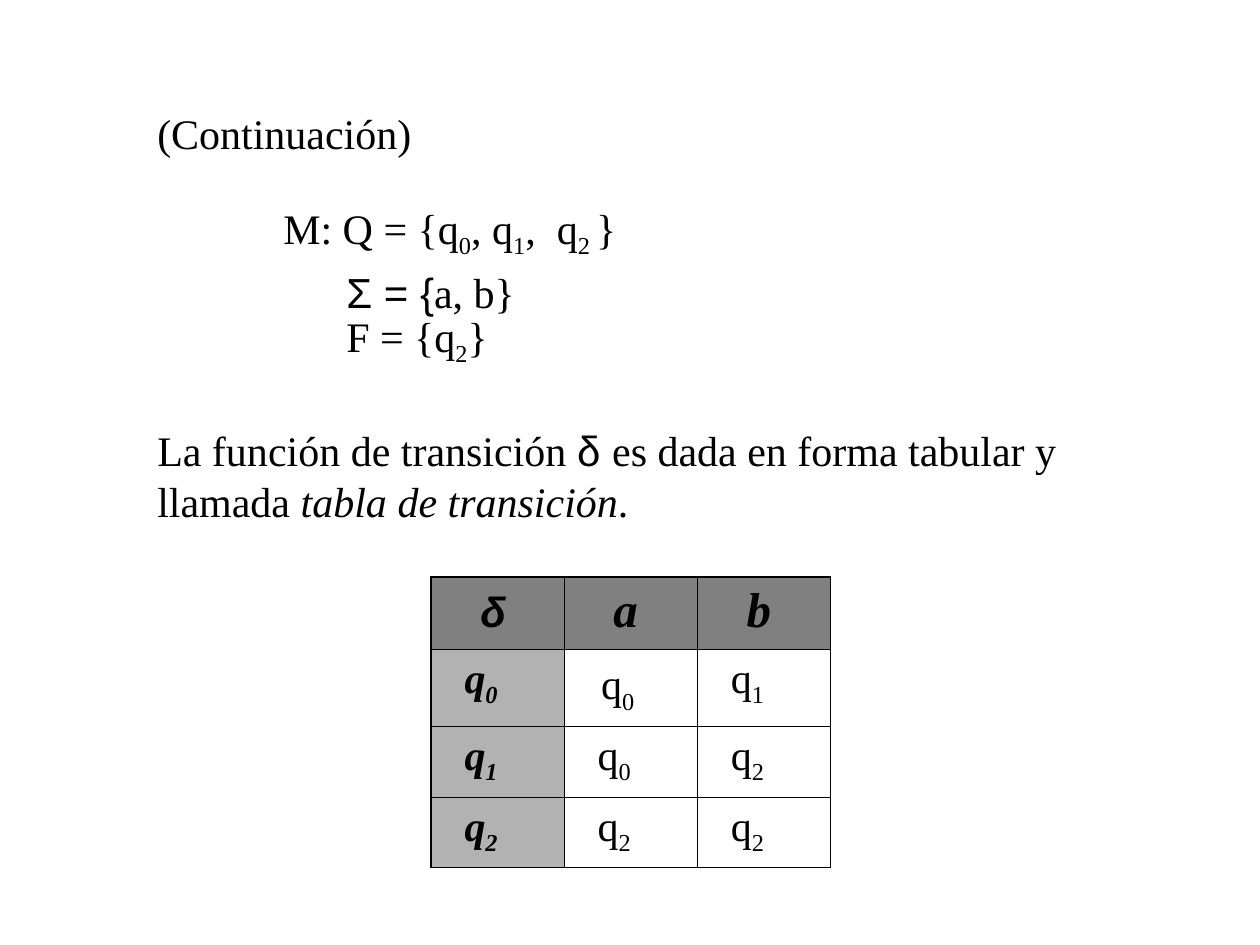
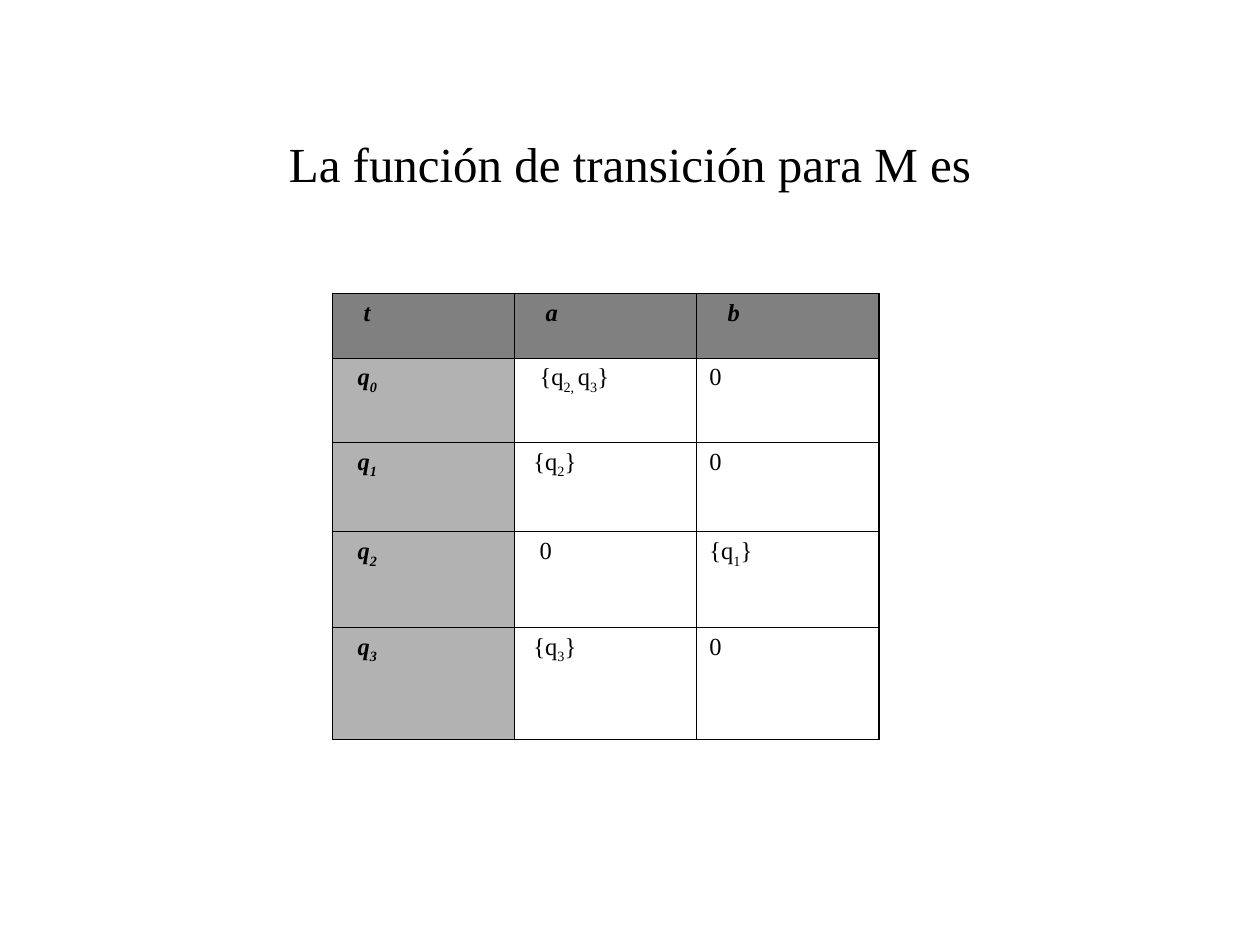
from pptx import Presentation
from pptx.dml.color import RGBColor
from pptx.enum import text
from pptx.oxml import ns, xmlchemy
from pptx.util import Inches, Pt

BLACK = RGBColor(0x00, 0x00, 0x00)
WHITE = RGBColor(0xFF, 0xFF, 0xFF)
HEADER_GRAY = RGBColor(0x80, 0x80, 0x80)
STATE_GRAY = RGBColor(0xB2, 0xB2, 0xB2)
SERIF, SANS = "Times New Roman", "Arial"
WIDTH, HEIGHT = Inches(10), Inches(7.5)
OUTER, INNER = Pt(1.08), Pt(0.45)


def across(percent):
    return int(WIDTH * percent / 100)


def down(percent):
    return int(HEIGHT * percent / 100)


def write(para, marked, size, bold=False, italic=False, indent=0):
    para._p.get_or_add_pPr().set("marL", str(Pt(indent)))
    para._p.get_or_add_pPr().set("indent", "0")
    font = para.font
    font.name, font.size, font.color.rgb = SERIF, Pt(size), BLACK
    font.bold, font.italic = bold, italic
    for part in marked.split("|"):
        mark = part[0] if part[0] in "_/@~" else ""
        span = para.add_run()
        span.text = part[len(mark):]
        if mark == "_":
            span.font._element.set("baseline", "-25000")
        elif mark == "/":
            span.font.italic = True
        elif mark == "@":
            span.font.name = SANS
        elif mark == "~":
            span.font._element.set("spc", "300")


def add_box(page, left, top, width, height):
    box = page.shapes.add_textbox(across(left), down(top), across(width), down(height))
    box.text_frame.word_wrap = True
    return box.text_frame


def add_border(cell, side, width):
    line = xmlchemy.OxmlElement(f"a:ln{side}")
    line.set("w", str(width))
    fill = xmlchemy.OxmlElement("a:solidFill")
    color = xmlchemy.OxmlElement("a:srgbClr")
    color.set("val", str(BLACK))
    fill.append(color)
    line.append(fill)
    cell._tc.get_or_add_tcPr().append(line)


def add_transition_table(page, left, top, column, heights, rows, sizes, indents):
    frame = page.shapes.add_table(
        len(rows), len(rows[0]), across(left), down(top),
        across(column * len(rows[0])), down(sum(heights)))
    table = frame.table
    table.first_row = table.horz_banding = False
    for item in table.columns:
        item.width = across(column)
    for r, row in enumerate(rows):
        table.rows[r].height = down(heights[r])
        for c, marked in enumerate(row):
            cell = table.cell(r, c)
            edges = {"L": c == 0, "R": c == len(row) - 1,
                     "T": r == 0, "B": r == len(rows) - 1}
            for side, outside in edges.items():
                add_border(cell, side, OUTER if outside else INNER)
            cell.fill.solid()
            cell.fill.fore_color.rgb = (
                HEADER_GRAY if r == 0 else STATE_GRAY if c == 0 else WHITE)
            heading = r == 0 or c == 0
            write(cell.text_frame.paragraphs[0], marked, sizes[min(r, 1)],
                  heading, heading, indents[r][c])
    return table


def build_definition(page):
    frame = add_box(page, 11.5, 10.67, 84.3, 50.8)
    lines = [
        ("(Continuación)", 0, 0),
        ("M: Q = {q|_0|, q|_1|~, |q|_2 |}", 72, 29),
        ("@Σ = {|a, b}", 108, 3.5),
        ("F = {q|_2|}", 108, 0),
        ("La función de transición |@δ |es dada en forma tabular y llamada "
         "|/tabla de transición|.", 0, 32),
    ]
    for index, (marked, indent, gap) in enumerate(lines):
        para = frame.add_paragraph() if index else frame.paragraphs[0]
        para.line_spacing = Pt(29.1)
        para.space_before = Pt(gap)
        write(para, marked, 24, indent=indent)

    rows = [("@δ", "a", "b"),
            ("q|_0", "q|_0", "q|_1"),
            ("q|_1", "q|_0", "q|_2"),
            ("q|_2", "q|_2", "q|_2")]
    indents = [(21, 21, 21), (12, 14, 12), (12, 12, 12), (12, 12, 12)]
    table = add_transition_table(page, 34.2, 61.07, 10.57, [7.67, 8.13, 7.52, 7.36],
                                 rows, (28, 24), indents)
    table.cell(0, 0).text_frame.paragraphs[0].runs[0].font.size = Pt(24)
    for lowered in (table.cell(0, 0), table.cell(1, 1)):
        lowered.margin_top = Inches(0.1)


def build_function(page):
    frame = add_box(page, 7.5, 8.93, 85, 16.67)
    frame.vertical_anchor = text.MSO_ANCHOR.MIDDLE
    title = frame.paragraphs[0]
    title.alignment = text.PP_ALIGN.CENTER
    write(title, "La función de transición para M es", 28)

    rows = [("t", "a", "b"),
            ("q|_0", "{q|_2, |q|_3|}", "0"),
            ("q|_1", "{q|_2|}", "0"),
            ("q|_2", "0", "{q|_1|}"),
            ("q|_3", "{q|_3|}", "0")]
    indents = [(10.5, 10.5, 10.5), (7, 7, 0), (7, 3.5, 0), (7, 7, 0), (7, 3.5, 0)]
    add_transition_table(page, 26.4, 31.07, 14.45, [6.8, 8.93, 9.47, 10.13, 11.87],
                         rows, (14, 14), indents)


def main():
    deck = Presentation()
    deck.slide_width, deck.slide_height = WIDTH, HEIGHT
    for build in (build_definition, build_function):
        page = deck.slides.add_slide(deck.slide_layouts[6])
        page.background.fill.solid()
        page.background.fill.fore_color.rgb = WHITE
        build(page)
    deck.save("out.pptx")


if __name__ == "__main__":
    main()
